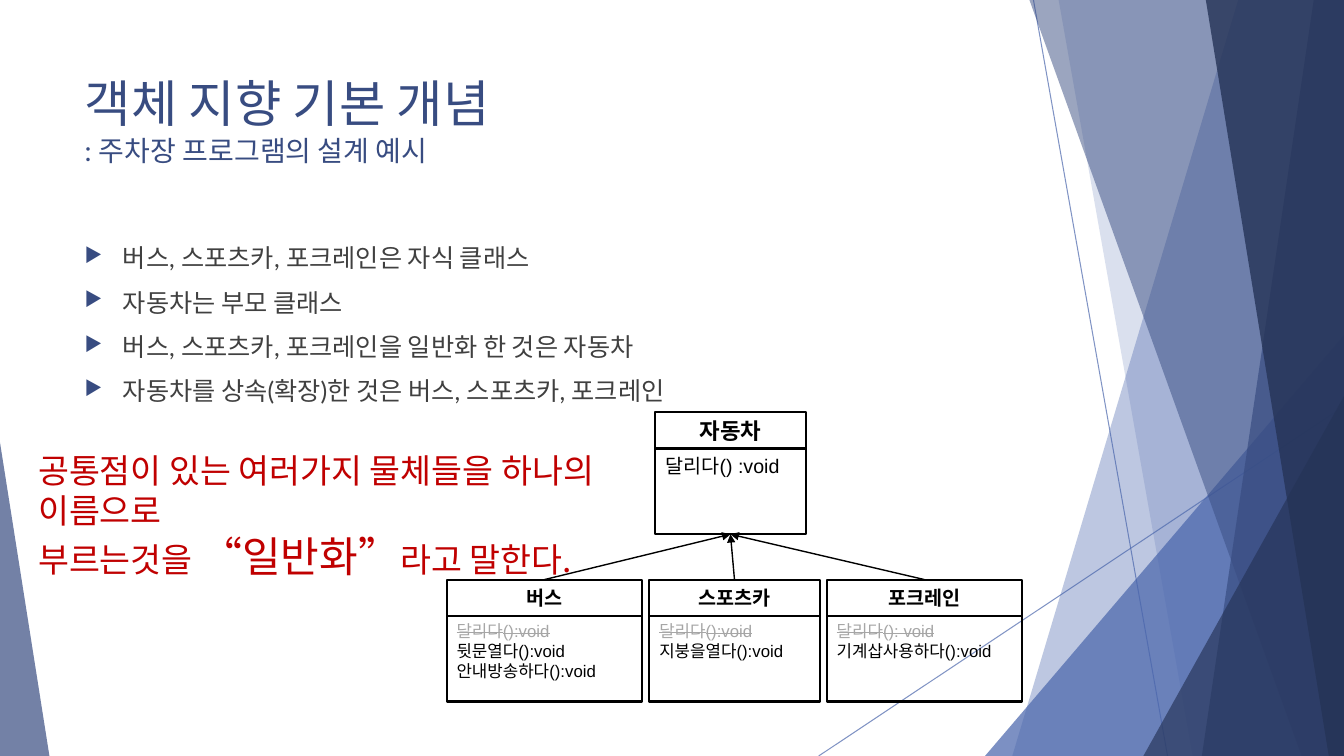
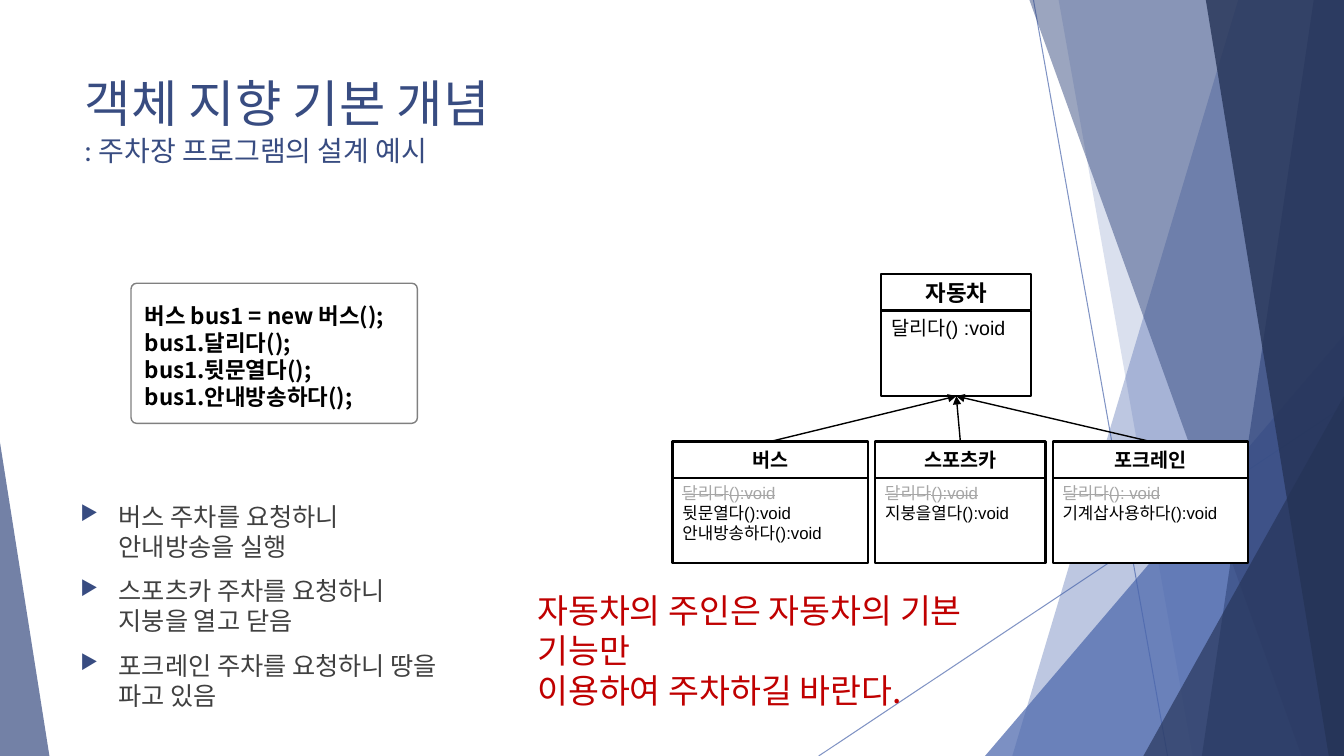
from lxml import etree
from pptx import Presentation
from pptx import util as u
from pptx.dml.color import RGBColor
from pptx.enum import shapes, text
from pptx.oxml.ns import qn

NAVY, BLUE, DARK = "384C81", "4A66AC", "253356"
BLACK, WHITE, RED = "000000", "FFFFFF", "C00000"
WIDTH, HEIGHT = 13.33, 7.5


def color(hex_string):
    return RGBColor.from_string(hex_string)


def add_line(page, start, end, hex_string, width):
    line = page.shapes.add_connector(
        shapes.MSO_CONNECTOR.STRAIGHT, *[u.Inches(value) for value in start + end])
    line.line.color.rgb = color(hex_string)
    line.line.width = u.Pt(width)
    etree.SubElement(line.element.spPr, qn("a:effectLst"))
    return line


deck = Presentation()
deck.slide_width, deck.slide_height = u.Inches(WIDTH), u.Inches(HEIGHT)
layout = deck.slide_layouts[5]
pages = [deck.slides.add_slide(layout) for _ in range(2)]
first, second = pages

# Background: thin lines, then bands (top x, bottom x, colour, opacity) reaching
# the right edge, mixed with triangles (left, top, width, apex, colour, opacity)
facets = [
    (12.28, 10.04, BLUE, 36),
    (10.5, 11.83, BLUE, 20),
    (9.77, 3.33, 3.56, 1, BLUE, 72),
    (10.21, 12.91, NAVY, 50),
    (13.03, 11.92, NAVY, 70),
    (11.96, 13.18, DARK, 80),
    (11.34, 3.93, 1.99, 1, DARK, 66),
    (0, 4.39, 0.49, 0, NAVY, 70),
]
background = [
    (add_line(first, (10.25, 0), (11.58, HEIGHT), BLUE, 0.75), 70),
    (add_line(first, (WIDTH, 4.03), (8.12, HEIGHT), BLUE, 0.75), 70),
]
for *geometry, hex_string, opacity in facets:
    if len(geometry) == 2:
        top_x, bottom_x = geometry
        outline = first.shapes.build_freeform(u.Inches(top_x), 0)
        outline.add_line_segments([
            (u.Inches(x), u.Inches(y))
            for x, y in [(WIDTH, 0), (WIDTH, HEIGHT), (bottom_x, HEIGHT)]])
        facet = outline.convert_to_shape()
    else:
        left, top, width, apex = geometry
        facet = first.shapes.add_shape(
            shapes.MSO_SHAPE.ISOSCELES_TRIANGLE, u.Inches(left), u.Inches(top),
            u.Inches(width), u.Inches(HEIGHT - top))
        facet.adjustments[0] = apex
    facet.shadow.inherit = False
    facet.fill.solid()
    facet.fill.fore_color.rgb = color(hex_string)
    facet.line.fill.background()
    background.append((facet, opacity))

# The background belongs to the layout, behind its placeholders
for index, (facet, opacity) in enumerate(background):
    tint = next(facet.element.iter(qn("a:srgbClr")))
    etree.SubElement(tint, qn("a:alpha"), val=str(opacity * 1000))
    next(facet.element.iter(qn("p:cNvPr"))).set("id", str(100 + index))
    layout.shapes.element.insert(2 + index, facet.element)

# Titles
for page in pages:
    title = page.shapes.title
    title.left, title.top = u.Inches(0.74), u.Inches(0.67)
    title.width, title.height = u.Inches(9.4), u.Inches(1.44)
    frame = title.text_frame
    frame.auto_size = text.MSO_AUTO_SIZE.NONE
    frame.vertical_anchor = text.MSO_ANCHOR.TOP
    para = frame.paragraphs[0]
    para.alignment = text.PP_ALIGN.LEFT
    para.font.name = "Lato"
    para.font.color.rgb = color(NAVY)
    span = para.add_run()
    span.text = "객체 지향 기본 개념"
    span.font.size = u.Pt(36)
    para.add_line_break()
    span = para.add_run()
    span.text = ": 주차장 프로그램의 설계 예시"
    span.font.size = u.Pt(20)

# Bulleted lists
bullet_lists = [
    (first, 0.74, 2.36, 9.4, 1.8, [
        "버스, 스포츠카, 포크레인은 자식 클래스",
        "자동차는 부모 클래스",
        "버스, 스포츠카, 포크레인을 일반화 한 것은 자동차",
        "자동차를 상속(확장)한 것은 버스, 스포츠카, 포크레인"]),
    (second, 0.7, 4.92, 3.9, 2.04, [
        "버스 주차를 요청하니 안내방송을 실행",
        "스포츠카 주차를 요청하니 지붕을 열고 닫음",
        "포크레인 주차를 요청하니 땅을 파고 있음"]),
]
for page, left, top, width, height, items in bullet_lists:
    box = page.shapes.add_textbox(
        u.Inches(left), u.Inches(top), u.Inches(width), u.Inches(height))
    frame = box.text_frame
    frame.word_wrap = True
    for index, item in enumerate(items):
        para = frame.paragraphs[0] if index == 0 else frame.add_paragraph()
        para.text = item
        properties = para._p.get_or_add_pPr()
        properties.set("marL", str(u.Inches(0.38)))
        properties.set("indent", str(u.Inches(-0.38)))
        bullet_color = etree.SubElement(properties, qn("a:buClr"))
        etree.SubElement(bullet_color, qn("a:srgbClr"), val=NAVY)
        etree.SubElement(properties, qn("a:buSzPct"), val="80000")
        etree.SubElement(properties, qn("a:buChar"), char="▶")
        if index:
            para.space_before = u.Pt(10)
        para.font.name = "Lato"
        para.font.size = u.Pt(18)
        para.font.color.rgb = color("404040")

# Class diagrams: one parent above three children
NAME_HEIGHT, BODY_HEIGHT, GAP = 0.36, 0.85, 0.07
CHILD_DROP = 1.66
PARENT_LEFT, PARENT_WIDTH = 2.07, 1.49
children = [
    ("버스", 1.94, ["달리다():void", "뒷문열다():void", "안내방송하다():void"]),
    ("스포츠카", 1.69, ["달리다():void", "지붕을열다():void"]),
    ("포크레인", 1.94, ["달리다(): void", "기계삽사용하다():void"]),
]
for page, left, top, filled in [(first, 4.43, 4.09, False), (second, 6.67, 2.72, True)]:
    classes = []
    child_left = left
    for name, width, methods in children:
        classes.append((name, child_left, top + CHILD_DROP, width, methods, 14, 12))
        child_left += width + GAP
    parent = ("자동차", left + PARENT_LEFT, top, PARENT_WIDTH, ["달리다() :void"], 16, 14)

    for name, x, y, width, methods, name_size, method_size in classes + [parent]:
        parts = [
            (y + NAME_HEIGHT, BODY_HEIGHT, methods, method_size, False),
            (y, NAME_HEIGHT, [name], name_size, True),
        ]
        for part_top, height, lines, size, heading in parts:
            box = page.shapes.add_shape(
                shapes.MSO_SHAPE.RECTANGLE, u.Inches(x), u.Inches(part_top),
                u.Inches(width), u.Inches(height))
            box.shadow.inherit = False
            if filled:
                box.fill.solid()
                box.fill.fore_color.rgb = color(WHITE)
            else:
                box.fill.background()
            box.line.color.rgb = color(BLACK)
            box.line.width = u.Pt(1.5)
            frame = box.text_frame
            frame.vertical_anchor = text.MSO_ANCHOR.MIDDLE if heading else text.MSO_ANCHOR.TOP
            for index, line in enumerate(lines):
                para = frame.paragraphs[0] if index == 0 else frame.add_paragraph()
                para.text = line
                para.alignment = text.PP_ALIGN.CENTER if heading else text.PP_ALIGN.LEFT
                para.font.name = "Arial"
                para.font.size = u.Pt(size)
                para.font.bold = heading
                para.font.color.rgb = color(BLACK)
                # The inherited method is struck out in the children
                if len(lines) > 1 and index == 0:
                    span = para.runs[0]
                    span.font.color.rgb = color("A6A6A6")
                    span.font._element.set("strike", "sngStrike")

    target = (left + PARENT_LEFT + PARENT_WIDTH / 2, top + NAME_HEIGHT + BODY_HEIGHT)
    for _, x, y, width, *_ in classes:
        arrow = add_line(page, (x + width / 2, y), target, BLACK, 1)
        etree.SubElement(next(arrow.element.iter(qn("a:ln"))), qn("a:tailEnd"), type="triangle")

# Code sample
code = second.shapes.add_shape(
    shapes.MSO_SHAPE.ROUNDED_RECTANGLE,
    u.Inches(1.3), u.Inches(2.81), u.Inches(2.84), u.Inches(1.39))
code.adjustments[0] = 0.04
code.shadow.inherit = False
code.fill.background()
code.line.color.rgb = color("808080")
code.line.width = u.Pt(1)
frame = code.text_frame
frame.vertical_anchor = text.MSO_ANCHOR.TOP
frame.margin_left = frame.margin_right = u.Inches(0.12)
frame.margin_top = frame.margin_bottom = u.Inches(0.04)
frame.text = "버스 bus1 = new 버스();\nbus1.달리다();\nbus1.뒷문열다();\nbus1.안내방송하다();"
frame.paragraphs[0].line_spacing = 1.5
for para in frame.paragraphs:
    para.alignment = text.PP_ALIGN.LEFT
    para.font.name = "Noto Sans CJK KR"
    para.font.size = u.Pt(16)
    para.font.bold = True
    para.font.color.rgb = color(BLACK)

# Red conclusions, each line a list of (wording, size)
conclusions = [
    (first, 0.28, 4.41, 6.38, 1.41, [
        [("공통점이 있는 여러가지 물체들을 하나의 이름으로", 24)],
        [("부르는것을 ", 24), ("“일반화”", 30), ("라고 말한다.", 24)]]),
    (second, 5.23, 5.8, 4.92, 1.3, [
        [("자동차의 주인은 자동차의 기본 기능만", 24)],
        [("이용하여 주차하길 바란다.", 24)]]),
]
for page, left, top, width, height, lines in conclusions:
    box = page.shapes.add_textbox(
        u.Inches(left), u.Inches(top), u.Inches(width), u.Inches(height))
    frame = box.text_frame
    frame.word_wrap = True
    for index, line in enumerate(lines):
        para = frame.paragraphs[0] if index == 0 else frame.add_paragraph()
        para.font.name = "Noto Sans CJK KR"
        para.font.color.rgb = color(RED)
        for wording, size in line:
            span = para.add_run()
            span.text = wording
            span.font.size = u.Pt(size)

deck.save("out.pptx")
